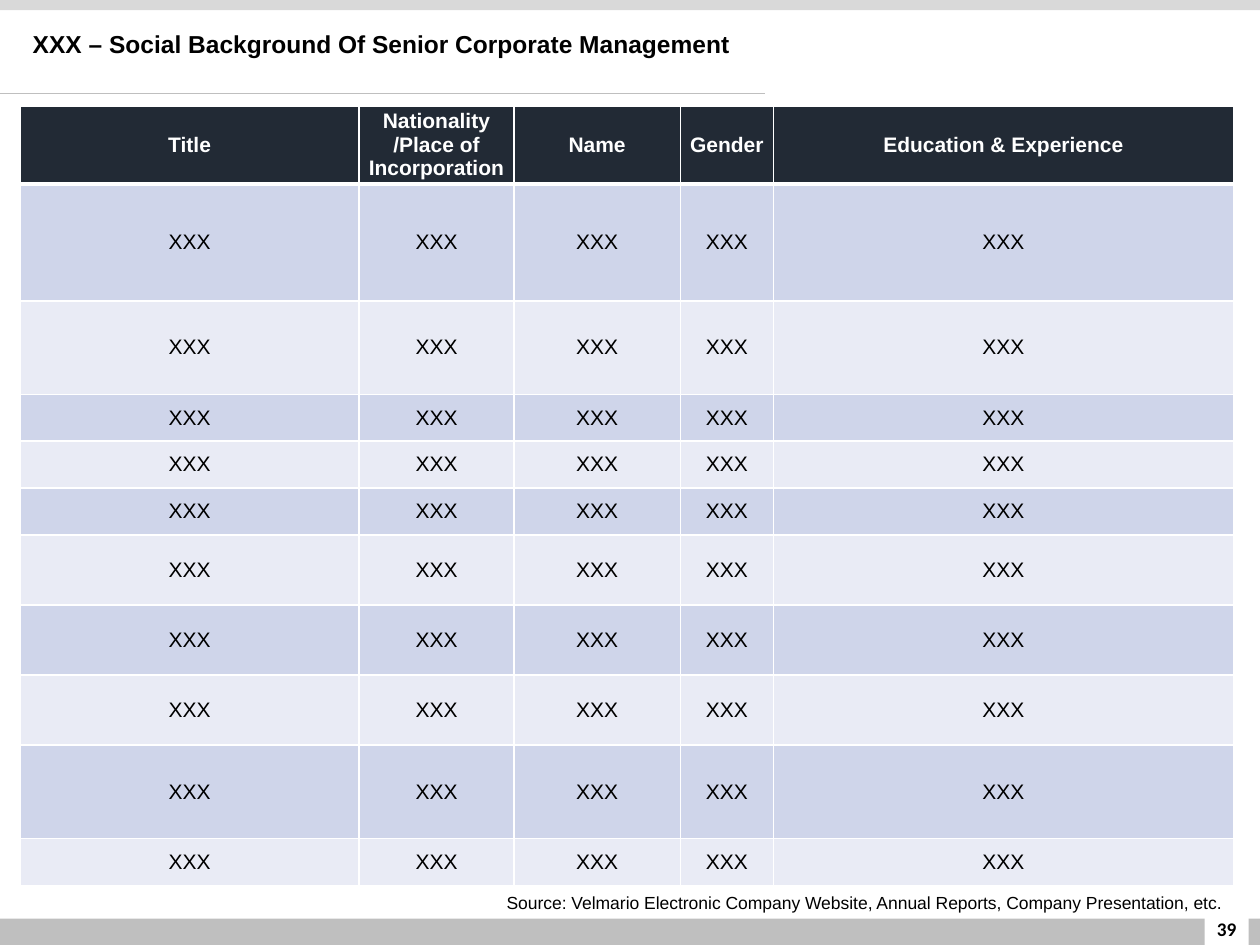
from lxml import etree
from pptx import Presentation
from pptx.dml.color import RGBColor
from pptx.enum.shapes import MSO_CONNECTOR, MSO_SHAPE
from pptx.enum.text import MSO_ANCHOR, PP_ALIGN
from pptx.oxml import parse_xml
from pptx.oxml.ns import nsdecls, qn
from pptx.util import Inches, Pt

CENTER, LEFT, RIGHT = PP_ALIGN.CENTER, PP_ALIGN.LEFT, PP_ALIGN.RIGHT
TOP, MIDDLE = MSO_ANCHOR.TOP, MSO_ANCHOR.MIDDLE
RECTANGLE, STRAIGHT = MSO_SHAPE.RECTANGLE, MSO_CONNECTOR.STRAIGHT

COLORS = {
    "text": "000000",
    "white": "FFFFFF",
    "header": "222A35",
    "odd_row": "CFD5EA",
    "even_row": "E9EBF5",
    "footer": "BFBFBF",
    "top_band": "D9D9D9",
}


def color(name):
    return RGBColor.from_string(COLORS[name])


def write(frame, text, size, align, anchor, bold=False, font="Arial", ink="text"):
    frame.word_wrap = True
    frame.vertical_anchor = anchor
    para = frame.paragraphs[0]
    para.text = text
    para.alignment = align
    para.font.size = Pt(size)
    para.font.name = font
    para.font.bold = bold
    para.font.color.rgb = color(ink)


deck = Presentation()
deck.slide_width, deck.slide_height = Inches(10), Inches(7.5)
page = deck.slides.add_slide(deck.slide_layouts[5])

bands = [
    (0, 7.29, 10.02, 0.23, "footer"),
    (0, 0, 10.02, 0.08, "top_band"),
    (9.56, 7.13, 0.35, 0.38, "white"),
]
for left, top, width, height, fill in bands:
    band = page.shapes.add_shape(
        RECTANGLE, Inches(left), Inches(top), Inches(width), Inches(height))
    band.shadow.inherit = False
    band.fill.solid()
    band.fill.fore_color.rgb = color(fill)
    band.line.fill.background()

rule = page.shapes.add_connector(
    STRAIGHT, Inches(0), Inches(0.74), Inches(6.07), Inches(0.74))
rule.line.color.rgb = color("footer")
rule.line.width = Pt(0.5)
etree.SubElement(rule._element.spPr, qn("a:effectLst"))

title = page.shapes.title
title.left, title.top = Inches(0.16), Inches(0.18)
title.width, title.height = Inches(6.62), Inches(0.34)
write(title.text_frame, "XXX – Social Background Of Senior Corporate Management",
      14, LEFT, TOP, bold=True)

number = page.shapes.add_textbox(Inches(9.49), Inches(7.17), Inches(0.49), Inches(0.4))
write(number.text_frame, "39", 11, CENTER, MIDDLE, bold=True, font="Calibri")

source = page.shapes.add_textbox(Inches(3.57), Inches(7.03), Inches(6.22), Inches(0.27))
write(source.text_frame,
      "Source: Velmario Electronic Company Website, Annual Reports, Company Presentation, etc.",
      10, RIGHT, TOP)

headers = ["Title", "Nationality /Place of Incorporation", "Name", "Gender",
           "Education & Experience"]
column_widths = [2.69, 1.23, 1.32, 0.74, 3.65]
row_lines = [5, 4, 2, 2, 2, 3, 3, 3, 4, 2]
table_height, header_height = 6.19, 0.62
line_height = (table_height - header_height) / sum(row_lines)
row_heights = [header_height] + [lines * line_height for lines in row_lines]

table = page.shapes.add_table(
    len(row_heights), len(headers), Inches(0.16), Inches(0.84),
    Inches(sum(column_widths)), Inches(table_height)).table
for column, width in zip(table.columns, column_widths):
    column.width = Inches(width)

for row_index, (row, height) in enumerate(zip(table.rows, row_heights)):
    row.height = Inches(height)
    is_header = row_index == 0
    fill = "header" if is_header else "odd_row" if row_index % 2 else "even_row"
    borders = {"lnL": 1, "lnR": 1, "lnT": 3 if row_index == 1 else 1,
               "lnB": 3 if is_header else 1}
    for cell, header in zip(row.cells, headers):
        cell.margin_left = cell.margin_right = cell.margin_top = cell.margin_bottom = 0
        cell.vertical_anchor = MIDDLE
        write(cell.text_frame, header if is_header else "XXX", 12, CENTER, MIDDLE,
              bold=is_header, ink="white" if is_header else "text")
        cell.fill.solid()
        cell.fill.fore_color.rgb = color(fill)
        properties = cell._tc.get_or_add_tcPr()
        for position, (side, points) in enumerate(borders.items()):
            properties.insert(position, parse_xml(
                f'<a:{side} {nsdecls("a")} w="{Pt(points)}"><a:solidFill>'
                f'<a:srgbClr val="{COLORS["white"]}"/></a:solidFill></a:{side}>'))

deck.save("out.pptx")
